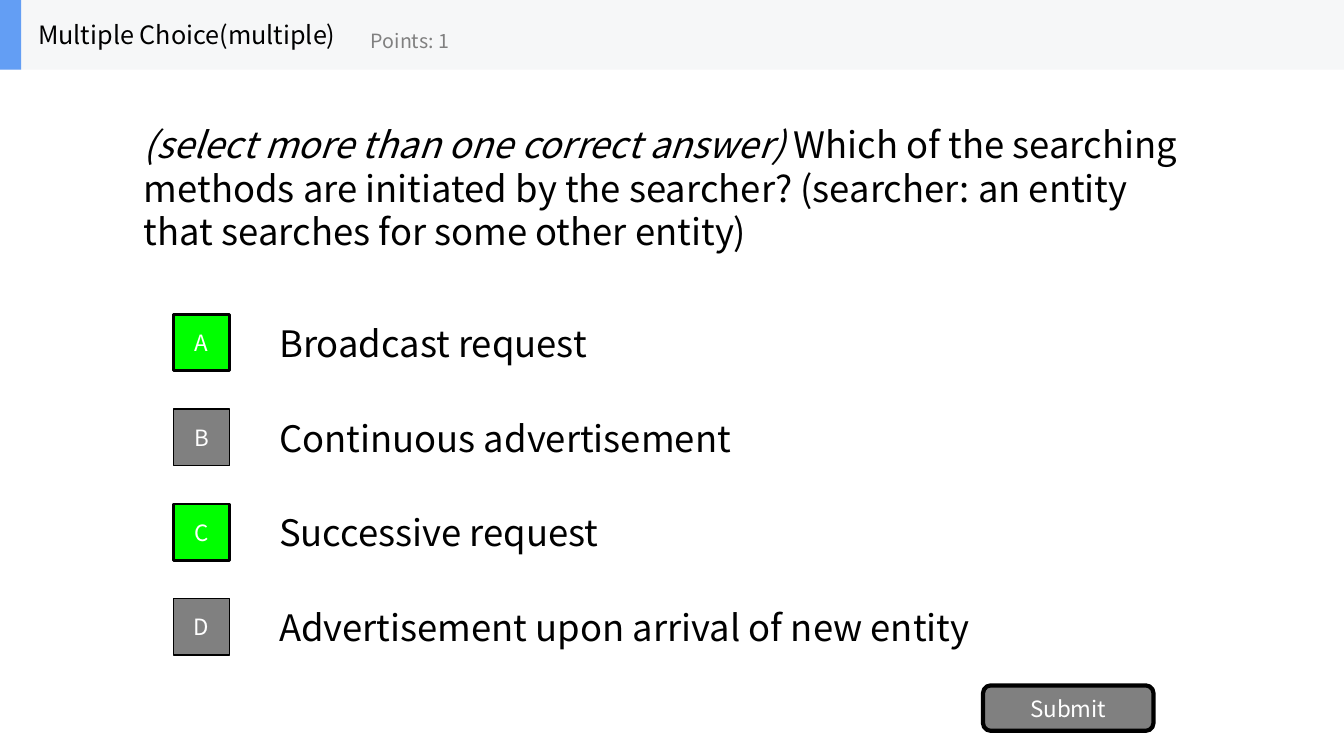
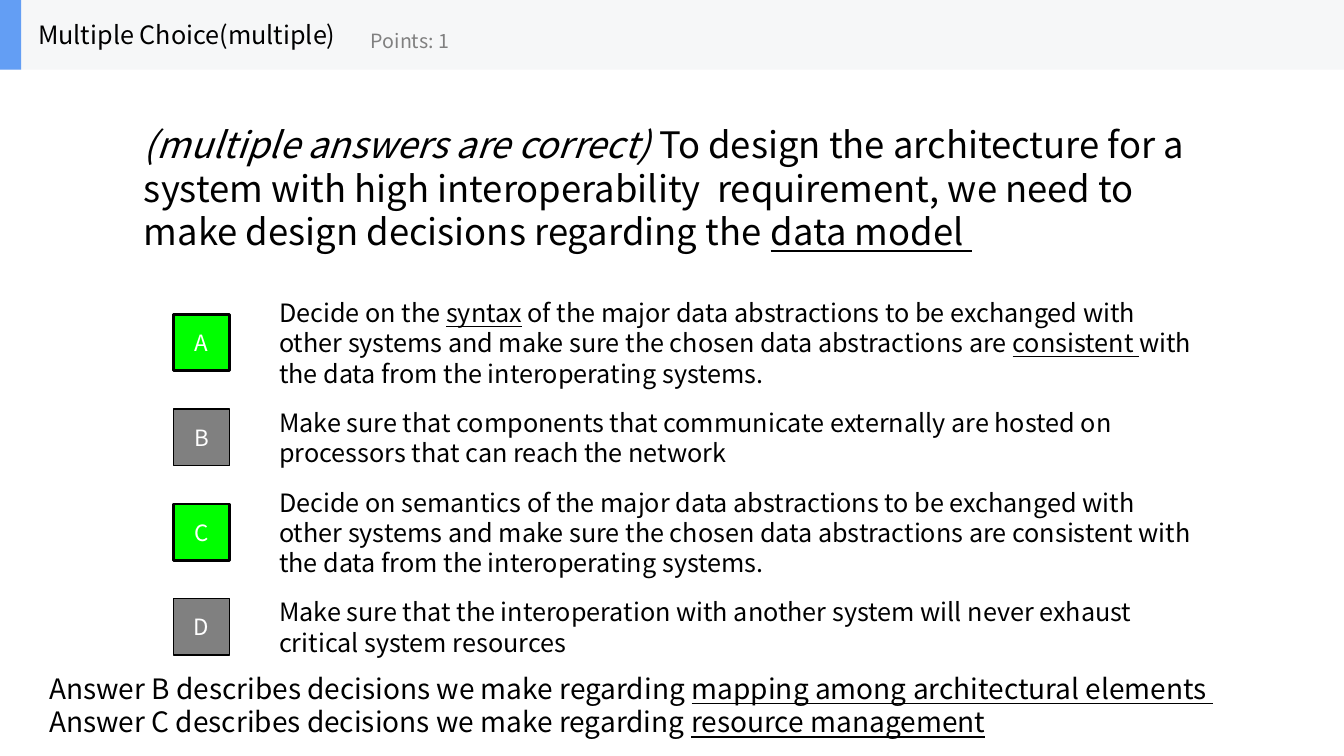
"""Build two multiple choice quiz slides."""
from dataclasses import dataclass, field
from typing import Any

from pptx import Presentation
from pptx.dml.color import RGBColor
from pptx.enum.shapes import MSO_SHAPE as Preset
from pptx.enum.text import MSO_ANCHOR as Anchor, PP_ALIGN as Align
from pptx.util import Inches, Pt

FONT = "Noto Sans CJK SC"
BLACK, WHITE, GREY = "000000", "FFFFFF", "808080"
GREEN, BAND, ACCENT = "00FF00", "F6F7F8", "639EF4"
BAND_HEIGHT = 0.69
FIRST_ROW, ROW_STEP = 3.05, 0.94
ITALIC, UNDERLINE = {"italic": True}, {"underline": True}


@dataclass(frozen=True)
class Span:
    text: str
    style: dict[str, bool] = field(default_factory=dict)


@dataclass(frozen=True)
class Answer:
    spans: list[Span]
    correct: bool = False


@dataclass(frozen=True)
class Question:
    prompt: list[Span]
    answers: list[Answer]
    answer_size: int
    remarks: list[list[Span]] = field(default_factory=list)
    submit: bool = False


QUESTIONS = [
    Question(
        prompt=[
            Span("(select more than one correct answer) ", ITALIC),
            Span("Which of the searching methods are initiated by the searcher? "
                 "(searcher: an entity that searches for some other entity)"),
        ],
        answers=[
            Answer([Span("Broadcast request")], True),
            Answer([Span("Continuous advertisement")]),
            Answer([Span("Successive request")], True),
            Answer([Span("Advertisement upon arrival of new entity")]),
        ],
        answer_size=26,
        submit=True,
    ),
    Question(
        prompt=[
            Span("(multiple answers are correct) ", ITALIC),
            Span("To design the architecture for a system with high interoperability  "
                 "requirement, we need to make design decisions regarding the "),
            Span("data model ", UNDERLINE),
        ],
        answers=[
            Answer([
                Span("Decide on the "),
                Span("syntax", UNDERLINE),
                Span(" of the major data abstractions to be exchanged with other systems "
                     "and make sure the chosen data abstractions are "),
                Span("consistent ", UNDERLINE),
                Span("with the data from the interoperating systems."),
            ], True),
            Answer([Span("Make sure that components that communicate externally are hosted "
                         "on processors that can reach the network")]),
            Answer([Span("Decide on semantics of the major data abstractions to be exchanged "
                         "with other systems and make sure the chosen data abstractions are "
                         "consistent with the data from the interoperating systems.")], True),
            Answer([Span("Make sure that the interoperation with another system will never "
                         "exhaust critical system resources")]),
        ],
        answer_size=18,
        remarks=[
            [Span("Answer B describes decisions we make regarding "),
             Span("mapping among architectural elements ", UNDERLINE)],
            [Span("Answer C describes decisions we make regarding "),
             Span("resource management", UNDERLINE)],
        ],
    ),
]


def rgb(value: str) -> RGBColor:
    return RGBColor.from_string(value)


def write(frame: Any, paragraphs: list[list[Span]], size: int, color: str = BLACK,
          align: Align = Align.LEFT, anchor: Anchor = Anchor.MIDDLE, wrap: bool = True) -> None:
    frame.word_wrap = wrap
    frame.vertical_anchor = anchor
    for index, spans in enumerate(paragraphs):
        paragraph = frame.paragraphs[0] if index == 0 else frame.add_paragraph()
        paragraph.alignment = align
        for span in spans:
            run = paragraph.add_run()
            run.text = span.text
            run.font.color.rgb = rgb(color)
            for name, value in {"name": FONT, "size": Pt(size), **span.style}.items():
                setattr(run.font, name, value)


def add_text(shapes: Any, left: float, top: float, width: float, height: float,
             paragraphs: list[list[Span]], size: int, **options: Any) -> None:
    box = shapes.add_textbox(Inches(left), Inches(top), Inches(width), Inches(height))
    write(box.text_frame, paragraphs, size, **options)


def add_block(shapes: Any, left: float, top: float, width: float, height: float, fill: str,
              label: str = "", border: int = 0, preset: Preset = Preset.RECTANGLE) -> None:
    block = shapes.add_shape(preset, Inches(left), Inches(top), Inches(width), Inches(height))
    block.shadow.inherit = False
    block.fill.solid()
    block.fill.fore_color.rgb = rgb(fill)
    if border:
        block.line.color.rgb = rgb(BLACK)
        block.line.width = Pt(border)
    else:
        block.line.fill.background()
    if label:
        write(block.text_frame, [[Span(label)]], 16, color=WHITE, align=Align.CENTER, wrap=False)


def add_header(slide: Any) -> None:
    header = slide.shapes.add_group_shape().shapes
    add_block(header, 0, 0, 13.33, BAND_HEIGHT, BAND)
    add_block(header, 0, 0, 0.21, BAND_HEIGHT, ACCENT)
    add_text(header, 0.28, 0, 3.2, BAND_HEIGHT,
             [[Span("Multiple Choice(multiple)")]], 18, wrap=False)
    add_text(header, 3.58, 0.12, 2.5, 0.56, [[Span("Points: 1")]], 14, color=GREY, wrap=False)


def add_question(slide: Any, question: Question) -> None:
    shapes = slide.shapes
    add_text(shapes, 1.33, BAND_HEIGHT, 10.67, 2.34, [question.prompt], 26)
    for row, (letter, answer) in enumerate(zip("ABCD", question.answers)):
        top = FIRST_ROW + row * ROW_STEP
        add_text(shapes, 2.67, top, 9.33, 0.7, [answer.spans], question.answer_size)
        fill, border = (GREEN, 2) if answer.correct else (GREY, 1)
        add_block(shapes, 1.72, top + 0.07, 0.56, 0.56, fill, letter, border)
    if question.remarks:
        add_text(shapes, 0.39, 6.61, 12.94, 0.77, question.remarks, 20, anchor=Anchor.TOP)
    if question.submit:
        add_block(shapes, 9.75, 6.8, 1.69, 0.45, GREY, "Submit", 3, Preset.ROUNDED_RECTANGLE)


def main() -> None:
    deck = Presentation()
    deck.slide_width, deck.slide_height = Inches(13.33), Inches(7.5)
    for question in QUESTIONS:
        slide = deck.slides.add_slide(deck.slide_layouts[6])
        add_question(slide, question)
        add_header(slide)
    deck.save("out.pptx")


if __name__ == "__main__":
    main()
